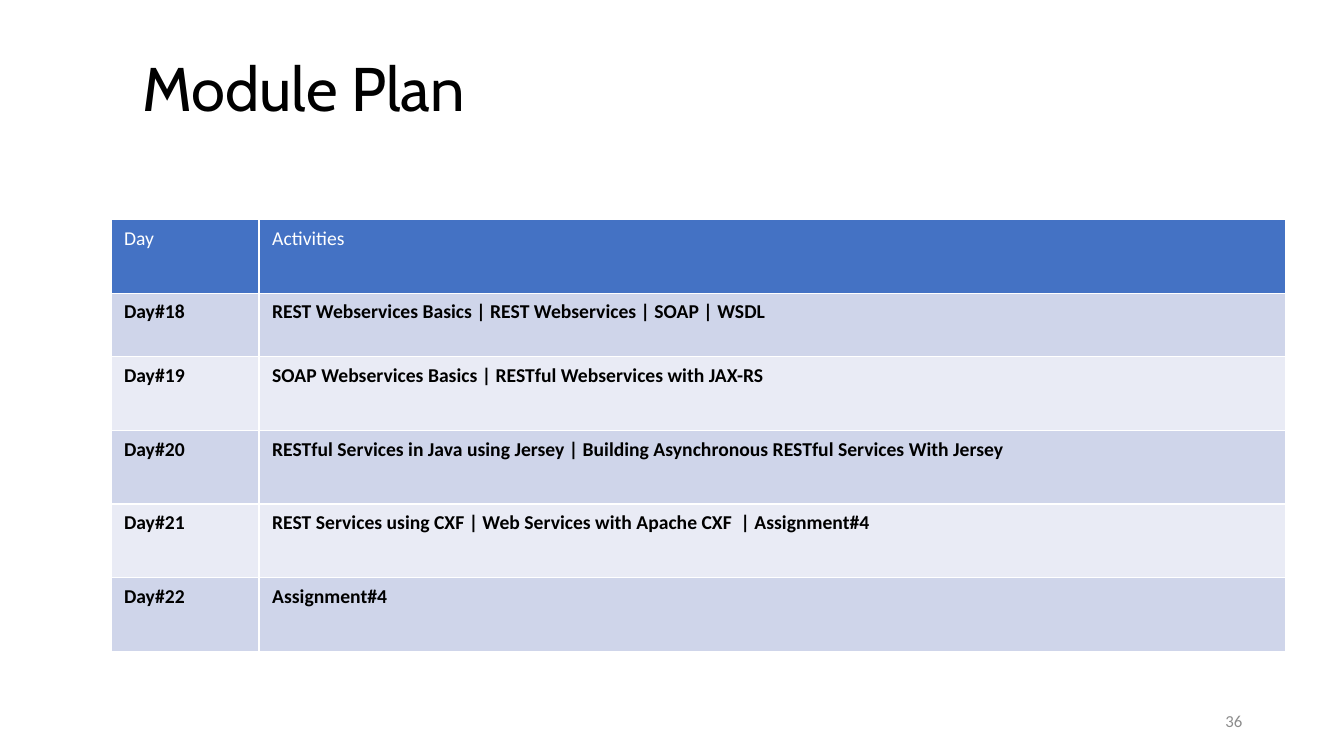
from pptx import Presentation
from pptx.dml.color import RGBColor
from pptx.enum.text import MSO_ANCHOR, PP_ALIGN
from pptx.util import Inches, Pt

BLACK = RGBColor(0x00, 0x00, 0x00)
WHITE = RGBColor(0xFF, 0xFF, 0xFF)
GRAY = RGBColor(0x8C, 0x8C, 0x8C)
HEADER_BLUE = RGBColor(0x44, 0x72, 0xC4)
BAND_DARK = RGBColor(0xCF, 0xD5, 0xEA)
BAND_LIGHT = RGBColor(0xE9, 0xEB, 0xF5)

PLAN = [
    ("Day", "Activities"),
    ("Day#18", "REST Webservices Basics | REST Webservices | SOAP | WSDL"),
    ("Day#19", "SOAP Webservices Basics | RESTful Webservices with JAX-RS"),
    ("Day#20", "RESTful Services in Java using Jersey | Building Asynchronous RESTful Services With Jersey"),
    ("Day#21", "REST Services using CXF | Web Services with Apache CXF  | Assignment#4"),
    ("Day#22", "Assignment#4"),
]
COL_WIDTHS = [1.47, 10.18]
ROW_HEIGHTS = [0.73, 0.63, 0.73, 0.73, 0.73, 0.73]


def add_run(p, text, size, color, font="Calibri", bold=False):
    r = p.add_run()
    r.text = text
    r.font.name = font
    r.font.size = Pt(size)
    r.font.bold = bold
    r.font.color.rgb = color


prs = Presentation()
prs.slide_width = Inches(13.33)
prs.slide_height = Inches(7.5)
s = prs.slides.add_slide(prs.slide_layouts[5])

title = s.shapes.title
title.left, title.top = Inches(1.31), Inches(0.17)
title.width, title.height = Inches(10.1), Inches(1.47)
tf = title.text_frame
tf.word_wrap = True
tf.vertical_anchor = MSO_ANCHOR.MIDDLE
p = tf.paragraphs[0]
p.alignment = PP_ALIGN.LEFT
p.line_spacing = 0.9
add_run(p, "Module Plan", 44, BLACK, font="Cabin")

table = s.shapes.add_table(len(PLAN), len(COL_WIDTHS), Inches(1.1), Inches(2.18),
                           Inches(sum(COL_WIDTHS)), Inches(sum(ROW_HEIGHTS))).table
for col, width in zip(table.columns, COL_WIDTHS):
    col.width = Inches(width)
for i, (row, height, texts) in enumerate(zip(table.rows, ROW_HEIGHTS, PLAN)):
    row.height = Inches(height)
    header = i == 0
    band = BAND_DARK if i % 2 else BAND_LIGHT
    for cell, text in zip(row.cells, texts):
        cell.margin_left = cell.margin_right = Inches(0.13)
        cell.margin_top = cell.margin_bottom = Inches(0.07)
        cell.fill.solid()
        cell.fill.fore_color.rgb = HEADER_BLUE if header else band
        add_run(cell.text_frame.paragraphs[0], text, 14,
                WHITE if header else BLACK, bold=not header)

number = s.shapes.add_textbox(Inches(9.42), Inches(6.95), Inches(3), Inches(0.4))
tf = number.text_frame
tf.word_wrap = True
tf.vertical_anchor = MSO_ANCHOR.MIDDLE
p = tf.paragraphs[0]
p.alignment = PP_ALIGN.RIGHT
add_run(p, "36", 12, GRAY)

prs.save("out.pptx")
